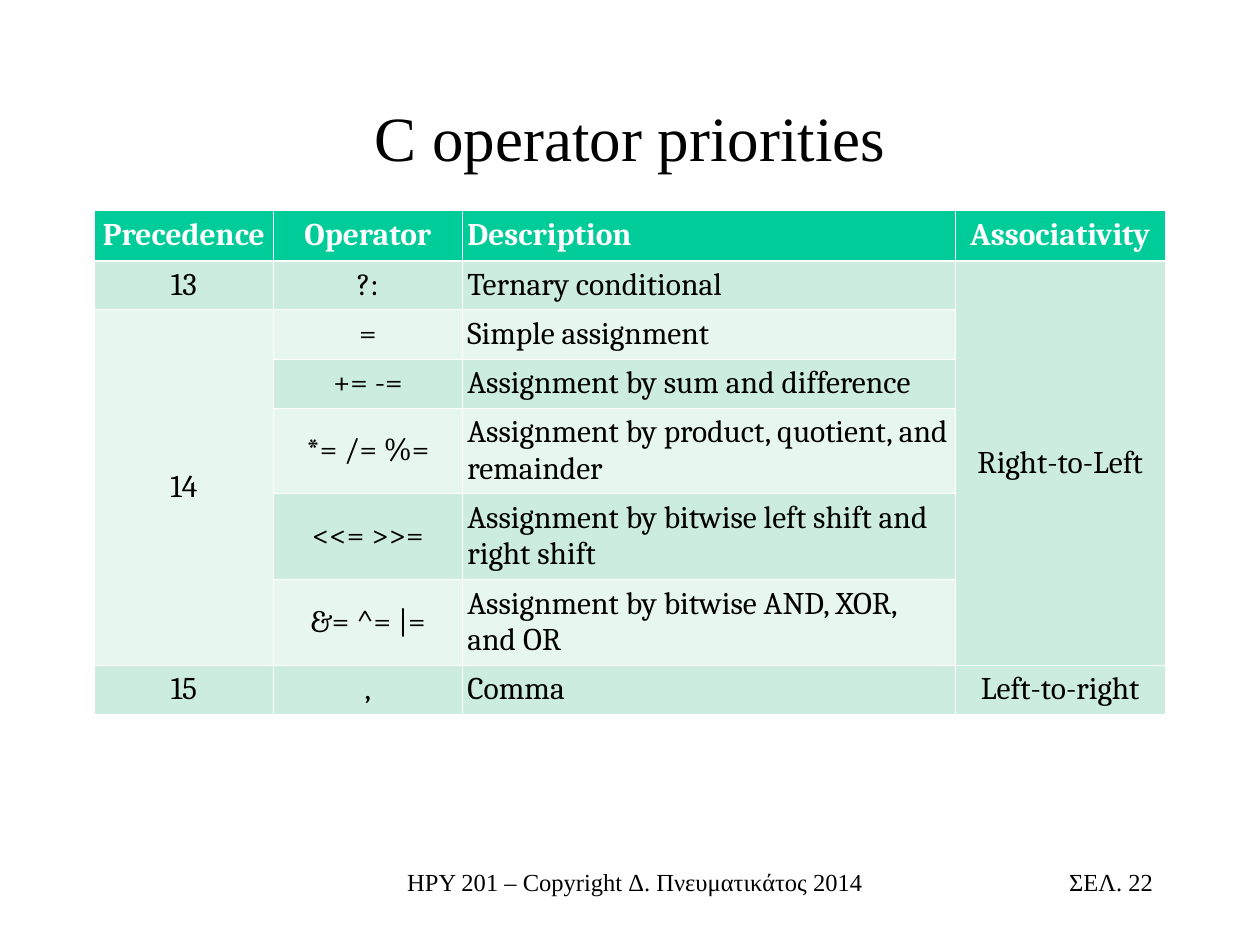
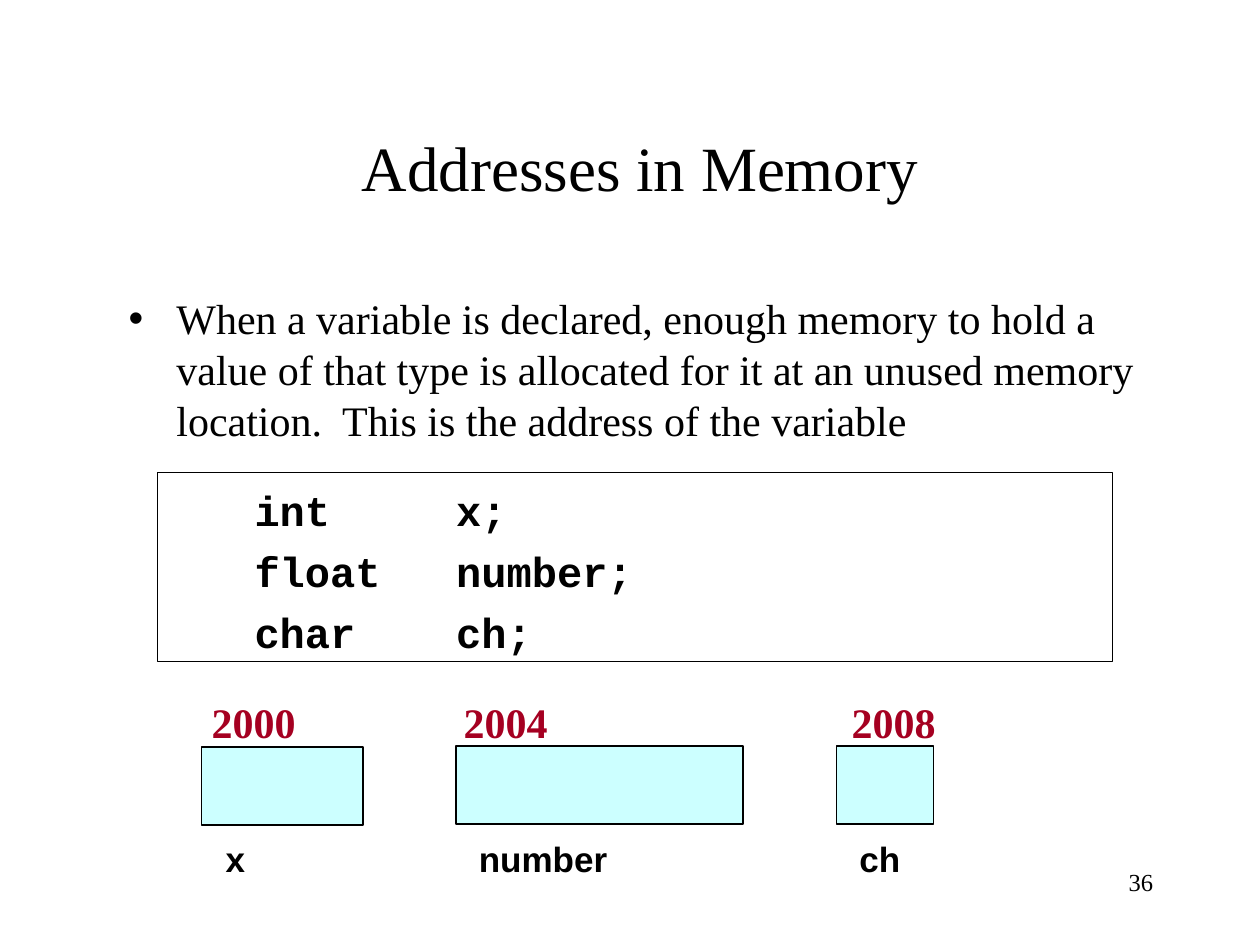
from lxml.etree import SubElement
from pptx import Presentation
from pptx.dml.color import RGBColor
from pptx.enum.shapes import MSO_SHAPE
from pptx.enum.text import MSO_ANCHOR, MSO_AUTO_SIZE, PP_ALIGN
from pptx.oxml.ns import qn
from pptx.util import Inches, Pt

BLACK = RGBColor(0x00, 0x00, 0x00)
WHITE = RGBColor(0xFF, 0xFF, 0xFF)
GREEN = RGBColor(0x00, 0xCC, 0x99)
DARK_BAND = RGBColor(0xCB, 0xEC, 0xDE)
LIGHT_BAND = RGBColor(0xE7, 0xF6, 0xEF)
CRIMSON = RGBColor(0xA5, 0x00, 0x21)
PALE_CYAN = RGBColor(0xCC, 0xFF, 0xFF)

SERIF = "Times New Roman"
SANS = "Arial"
MONO = "Courier New"
TABLE_FONT = "Cambria"

TITLE_ONLY, TITLE_AND_BODY = 5, 1
THIN, THICK = 0.45, 1.47

COLUMN_WIDTHS = (1.42, 1.5, 3.91, 1.67)
ROW_HEIGHTS = (0.4, 0.38, 0.38, 0.38, 0.68, 0.68, 0.68, 0.38)
DESCRIPTION_COLUMN = 2
OPERATORS = (
    ("Precedence", "Operator", "Description", "Associativity"),
    ("13", "?:", "Ternary conditional", "Right-to-Left"),
    ("14", "=", "Simple assignment", ""),
    ("", "+= -=", "Assignment by sum and difference", ""),
    ("", "*= /= %=", "Assignment by product, quotient, and remainder", ""),
    ("", "<<= >>=", "Assignment by bitwise left shift and right shift", ""),
    ("", "&= ^= |=", "Assignment by bitwise AND, XOR, and OR", ""),
    ("15", ",", "Comma", "Left-to-right"),
)
MERGES = (((1, 3), (6, 3)), ((2, 0), (6, 0)))

DECLARATIONS = ("int     x;", "float   number;", "char    ch;")
VARIABLES = (
    ("2000", 1.68, "x", 1.79, (1.6, 5.93, 1.28, 0.62)),
    ("2004", 3.68, "number", 3.8, (3.62, 5.92, 2.28, 0.62)),
    ("2008", 6.76, "ch", 6.82, (6.64, 5.92, 0.77, 0.62)),
)


def add_span(para, text, size, font=SERIF, color=BLACK, bold=False):
    """Add one formatted run to a paragraph."""
    span = para.add_run()
    span.text = text
    span.font.size = Pt(size)
    span.font.name = font
    span.font.color.rgb = color
    span.font.bold = bold


def place(shape, left, top, width, height):
    """Set the position and size of a shape in inches."""
    shape.left, shape.top = Inches(left), Inches(top)
    shape.width, shape.height = Inches(width), Inches(height)


def set_frame(frame, anchor, side=0.1, top=0.05, bottom=0.05):
    """Set the wrapping, anchor and insets of a text frame."""
    frame.word_wrap = True
    frame.auto_size = MSO_AUTO_SIZE.NONE
    frame.vertical_anchor = anchor
    frame.margin_left = frame.margin_right = Inches(side)
    frame.margin_top, frame.margin_bottom = Inches(top), Inches(bottom)


def add_page(deck, layout, title, bounds, anchor):
    """Add a slide with its centred title."""
    page = deck.slides.add_slide(deck.slide_layouts[layout])
    place(page.shapes.title, *bounds)
    frame = page.shapes.title.text_frame
    set_frame(frame, anchor)
    para = frame.paragraphs[0]
    para.alignment = PP_ALIGN.CENTER
    add_span(para, title, 36)
    return page


def add_label(page, bounds, text, size, align=PP_ALIGN.LEFT, inset=0.1, **style):
    """Add a one-line text box."""
    box = page.shapes.add_textbox(*(Inches(value) for value in bounds))
    set_frame(box.text_frame, MSO_ANCHOR.TOP, side=inset)
    para = box.text_frame.paragraphs[0]
    para.alignment = align
    add_span(para, text, size, **style)


def add_page_number(page, text):
    """Add the page number at the lower right."""
    add_label(page, (7.17, 6.83, 2.08, 0.5), text, 14, PP_ALIGN.RIGHT)


def add_box(page, bounds, fill):
    """Add a filled rectangle with a black outline."""
    box = page.shapes.add_shape(
        MSO_SHAPE.RECTANGLE, *(Inches(value) for value in bounds))
    box.shadow.inherit = False
    box.fill.solid()
    box.fill.fore_color.rgb = fill
    box.line.color.rgb = BLACK
    box.line.width = Pt(1)
    return box


def set_borders(cell, top, bottom):
    """Give a cell white borders of the given widths in points."""
    properties = cell._tc.get_or_add_tcPr()
    widths = {"a:lnL": THIN, "a:lnR": THIN, "a:lnT": top, "a:lnB": bottom}
    for tag, width in widths.items():
        line = SubElement(properties, qn(tag), w=str(Pt(width)))
        fill = SubElement(line, qn("a:solidFill"))
        SubElement(fill, qn("a:srgbClr"), val=str(WHITE))


def fill_cell(cell, text, row, column):
    """Format one table cell according to its place."""
    header = row == 0
    set_borders(cell, THICK if row == 1 else THIN, THICK if header else THIN)
    cell.fill.solid()
    band = DARK_BAND if row % 2 else LIGHT_BAND
    cell.fill.fore_color.rgb = GREEN if header else band
    cell.vertical_anchor = MSO_ANCHOR.MIDDLE
    cell.margin_left = cell.margin_right = Inches(0.04)
    cell.margin_top = cell.margin_bottom = Inches(0.05)
    para = cell.text_frame.paragraphs[0]
    if column != DESCRIPTION_COLUMN:
        para.alignment = PP_ALIGN.CENTER
    if text:
        add_span(para, text, 18, TABLE_FONT, WHITE if header else BLACK, header)


def add_operator_table(page):
    """Add the table of operator priorities."""
    table = page.shapes.add_table(
        len(ROW_HEIGHTS), len(COLUMN_WIDTHS), Inches(0.75), Inches(1.67),
        Inches(sum(COLUMN_WIDTHS)), Inches(sum(ROW_HEIGHTS))).table
    for column, width in zip(table.columns, COLUMN_WIDTHS):
        column.width = Inches(width)
    for row, height in zip(table.rows, ROW_HEIGHTS):
        row.height = Inches(height)
    for row, texts in enumerate(OPERATORS):
        for column, text in enumerate(texts):
            fill_cell(table.cell(row, column), text, row, column)
    for first, last in MERGES:
        table.cell(*first).merge(table.cell(*last))


def add_bullet(page, text):
    """Fill the body placeholder with one bulleted paragraph."""
    body = page.placeholders[1]
    place(body, 0.92, 2.27, 8.67, 1.4)
    set_frame(body.text_frame, MSO_ANCHOR.TOP)
    para = body.text_frame.paragraphs[0]
    properties = para._p.get_or_add_pPr()
    properties.set("marL", str(Inches(0.38)))
    properties.set("indent", str(Inches(-0.38)))
    SubElement(properties, qn("a:buChar"), char="•")
    para.space_before = Pt(0)
    para.line_spacing = Pt(29)
    add_span(para, text, 24)


def add_declarations(page):
    """Add the framed code listing."""
    box = add_box(page, (1.25, 3.75, 7.58, 1.5), WHITE)
    frame = box.text_frame
    set_frame(frame, MSO_ANCHOR.TOP, side=0.77, top=0.09, bottom=0)
    for index, code in enumerate(DECLARATIONS):
        para = frame.add_paragraph() if index else frame.paragraphs[0]
        para.alignment = PP_ALIGN.LEFT
        para.line_spacing = Pt(29)
        if index:
            para.space_before = Pt(6)
        add_span(para, code, 24, MONO, bold=True)


def add_variable(page, address, address_left, name, name_left, bounds):
    """Add a memory cell with its address above and its name below."""
    add_box(page, bounds, PALE_CYAN)
    add_label(page, (address_left, 5.48, 1, 0.5), address, 24, inset=0,
              color=CRIMSON, bold=True)
    add_label(page, (name_left, 6.6, 1.5, 0.43), name, 20, inset=0,
              font=SANS, bold=True)


def main():
    """Build and save the deck."""
    deck = Presentation()
    deck.slide_width, deck.slide_height = Inches(10), Inches(7.5)

    page = add_page(deck, TITLE_ONLY, "C operator priorities",
                    (0.75, 0.67, 8.5, 0.83), MSO_ANCHOR.MIDDLE)
    add_operator_table(page)
    add_label(page, (3, 6.83, 4.08, 0.5),
              "ΗΡΥ 201 – Copyright Δ. Πνευματικάτος 2014", 14, PP_ALIGN.CENTER)
    add_page_number(page, "ΣΕΛ. 22")

    page = add_page(deck, TITLE_AND_BODY, "Addresses in Memory",
                    (0.83, 0.42, 8.5, 1.25), MSO_ANCHOR.BOTTOM)
    add_bullet(page, "When a variable is declared, enough memory to hold a value "
               "of that type is allocated for it at an unused memory location.  "
               "This is the address of the variable")
    add_declarations(page)
    for variable in VARIABLES:
        add_variable(page, *variable)
    add_page_number(page, "36")

    deck.save("out.pptx")


if __name__ == "__main__":
    main()
